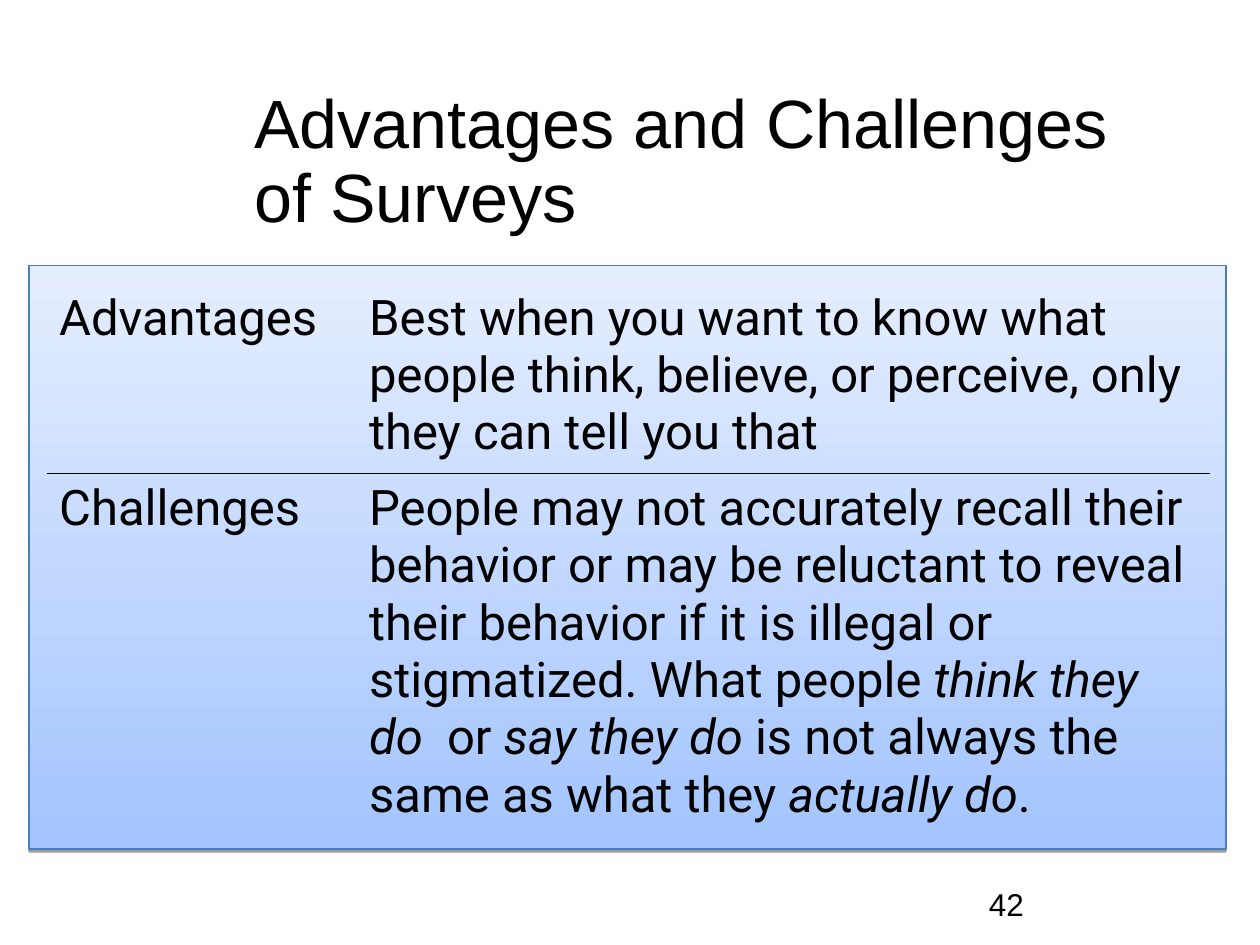
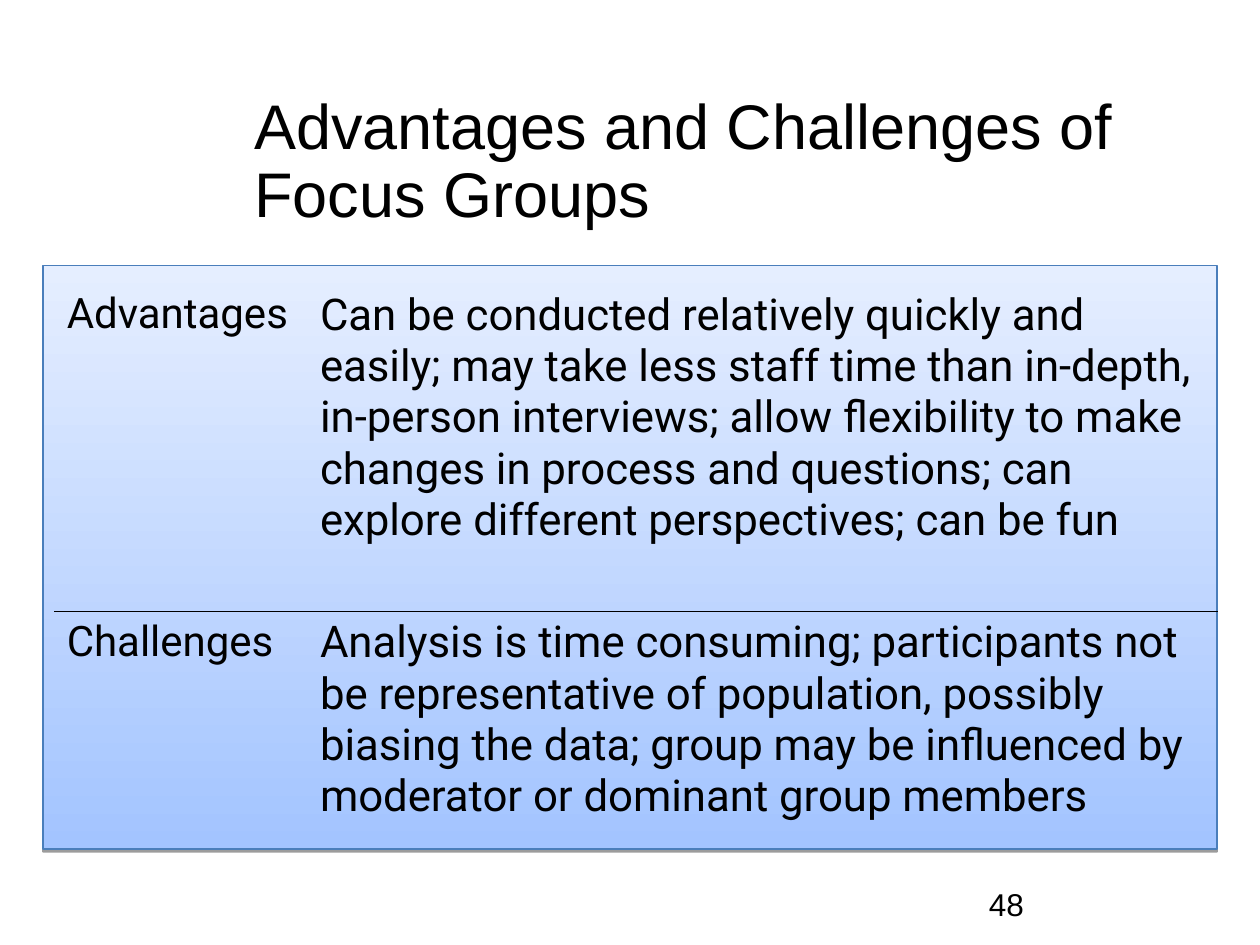
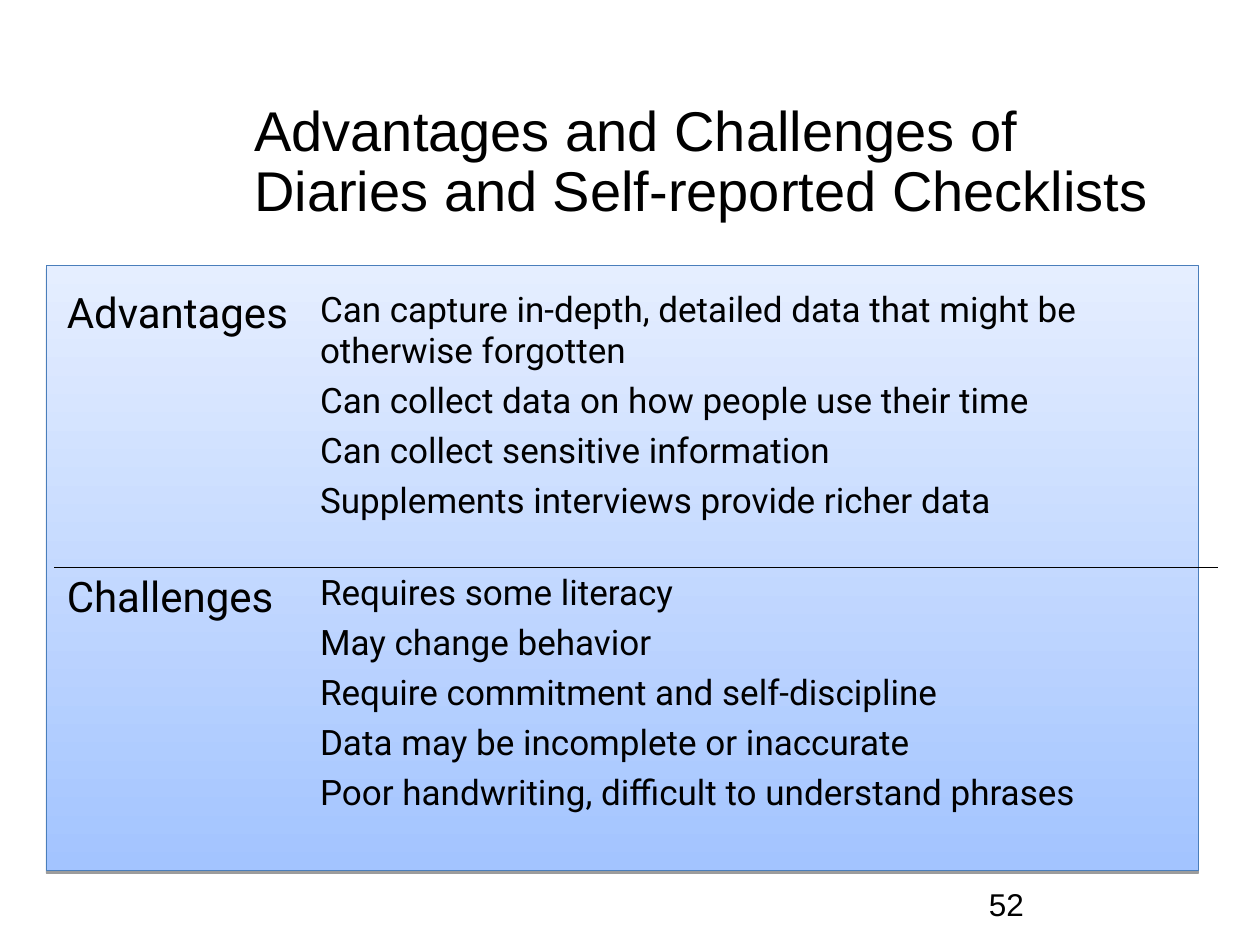
from lxml.etree import SubElement
from pptx import Presentation
from pptx.dml.color import RGBColor
from pptx.enum.shapes import MSO_SHAPE as Shape
from pptx.enum.text import MSO_ANCHOR as Anchor
from pptx.oxml import parse_xml
from pptx.oxml.ns import nsdecls, qn
from pptx.util import Inches, Pt

BLACK, EDGE = "000000", "4A7EBB"
DEEP, PALE = "A3C4FF", "E5EEFF"
HEAD_FONT, BODY_FONT = "Arial", "Roboto"
NO_STYLE = "{2D5ABB26-0587-4C30-8999-92F81FD0307C}"
PANEL_TOP, TABLE_TOP = 2.11, 2.25

# A cell is a list of paragraphs; a paragraph is a list of (text, italic) runs.
RECALL = [
    ("People may not accurately recall their behavior or may be reluctant to "
     "reveal their behavior if it is illegal or stigmatized. What people ", False),
    ("think they do  ", True),
    ("or ", False),
    ("say they do", True),
    (" is not always the same as what they ", False),
    ("actually do", True),
    (".", False),
]


def plain(*lines):
    return [[(line, False)] for line in lines]


SLIDES = [
    dict(
        topic="Surveys", size=39, page=42,
        panel=(0.23, 9.5, 4.63), left=0.37, cols=(2.46, 6.77), rows=(1.51, 2.9),
        label=28, body=28, gap=7,
        pros=plain("Best when you want to know what people think, believe, or "
                   "perceive, only they can tell you that"),
        cons=[RECALL],
    ),
    dict(
        topic="Focus Groups", size=36, page=48,
        panel=(0.34, 9.32, 4.63), left=0.43, cols=(2.01, 7.23), rows=(2.6, 2.19),
        label=24, body=25, gap=6,
        pros=plain("Can be conducted relatively quickly and easily; may take less "
                   "staff time than in-depth, in-person interviews; allow "
                   "flexibility to make changes in process and questions; can "
                   "explore different perspectives; can be fun"),
        cons=plain("Analysis is time consuming; participants not be representative "
                   "of population, possibly biasing the data; group may be "
                   "influenced by moderator or dominant group members"),
    ),
    dict(
        topic="Diaries and Self-reported Checklists", size=32, page=52,
        panel=(0.37, 9.14, 4.8), left=0.43, cols=(2.01, 7.23), rows=(2.25, 2.25),
        label=24, body=20, gap=5,
        pros=plain("Can capture in-depth, detailed data that might be otherwise "
                   "forgotten",
                   "Can collect data on how people use their time",
                   "Can collect sensitive information",
                   "Supplements interviews provide richer data"),
        cons=plain("Requires some literacy",
                   "May change behavior",
                   "Require commitment and self-discipline",
                   "Data may be incomplete or inaccurate",
                   "Poor handwriting, difficult to understand phrases"),
    ),
]


def color(code):
    return RGBColor.from_string(code)


def write(frame, paras, size, font, gap=0):
    """Fill a text frame run by run, with gap points between paragraphs."""
    frame.word_wrap = True
    for i, runs in enumerate(paras):
        para = frame.add_paragraph() if i else frame.paragraphs[0]
        para.space_before = Pt(gap if i else 0)
        for text, slant in runs:
            run = para.add_run()
            run.text = text
            run.font.size = Pt(size)
            run.font.name = font
            run.font.italic = slant
            run.font.color.rgb = color(BLACK)


def add_text(slide, box, text, size):
    frame = slide.shapes.add_textbox(*map(Inches, box)).text_frame
    frame.vertical_anchor = Anchor.MIDDLE
    write(frame, plain(text), size, HEAD_FONT)
    return frame


def add_title(slide, topic, size):
    text = f"Advantages and Challenges of {topic}"
    frame = add_text(slide, (1.92, 0.67, 7.33, 1.25), text, size)
    frame.paragraphs[0].line_spacing = 0.9


def add_panel(slide, left, width, height):
    box = map(Inches, (left, PANEL_TOP, width, height))
    panel = slide.shapes.add_shape(Shape.RECTANGLE, *box)
    panel.fill.gradient()
    panel.fill.gradient_angle = 90
    for stop, code, pos in zip(panel.fill.gradient_stops, (DEEP, PALE), (0, 1)):
        stop.color.rgb = color(code)
        stop.position = pos
    panel.line.color.rgb = color(EDGE)
    panel.line.width = Pt(0.75)
    panel.shadow.inherit = False
    effects = panel._element.spPr.find(qn("a:effectLst"))
    effects.append(parse_xml(
        f'<a:outerShdw {nsdecls("a")} blurRad="0" dist="{Pt(1.6)}" dir="5400000" '
        f'rotWithShape="0"><a:srgbClr val="{BLACK}"><a:alpha val="38000"/>'
        '</a:srgbClr></a:outerShdw>'))


def add_rule(cell, side):
    """Draw a thin line on one side of a cell (lnT or lnB)."""
    props = cell._tc.get_or_add_tcPr()
    line = SubElement(props, qn(f"a:{side}"), w=str(Pt(0.45)))
    fill = SubElement(line, qn("a:solidFill"))
    SubElement(fill, qn("a:srgbClr"), val=BLACK)
    props.insert(0, line)


def add_grid(slide, data):
    cols, rows = data["cols"], data["rows"]
    box = map(Inches, (data["left"], TABLE_TOP, sum(cols), sum(rows)))
    frame = slide.shapes.add_table(2, 2, *box)
    table = frame.table
    table.first_row = table.horz_banding = False
    next(frame._element.iter(qn("a:tableStyleId"))).text = NO_STYLE
    for col, width in zip(table.columns, cols):
        col.width = Inches(width)
    cells = (("Advantages", data["pros"]), ("Challenges", data["cons"]))
    for i, (label, paras) in enumerate(cells):
        table.rows[i].height = Inches(rows[i])
        name, body = table.cell(i, 0), table.cell(i, 1)
        write(name.text_frame, plain(label), data["label"], BODY_FONT)
        write(body.text_frame, paras, data["body"], BODY_FONT, data["gap"])
        for cell in (name, body):
            cell.fill.background()
            add_rule(cell, "lnT" if i else "lnB")


def main():
    deck = Presentation()
    deck.slide_width, deck.slide_height = Inches(10), Inches(7.5)
    for data in SLIDES:
        slide = deck.slides.add_slide(deck.slide_layouts[6])
        add_panel(slide, *data["panel"])
        add_title(slide, data["topic"], data["size"])
        add_grid(slide, data)
        add_text(slide, (7.75, 6.98, 2.24, 0.39), str(data["page"]), 18)
    deck.save("out.pptx")


if __name__ == "__main__":
    main()
